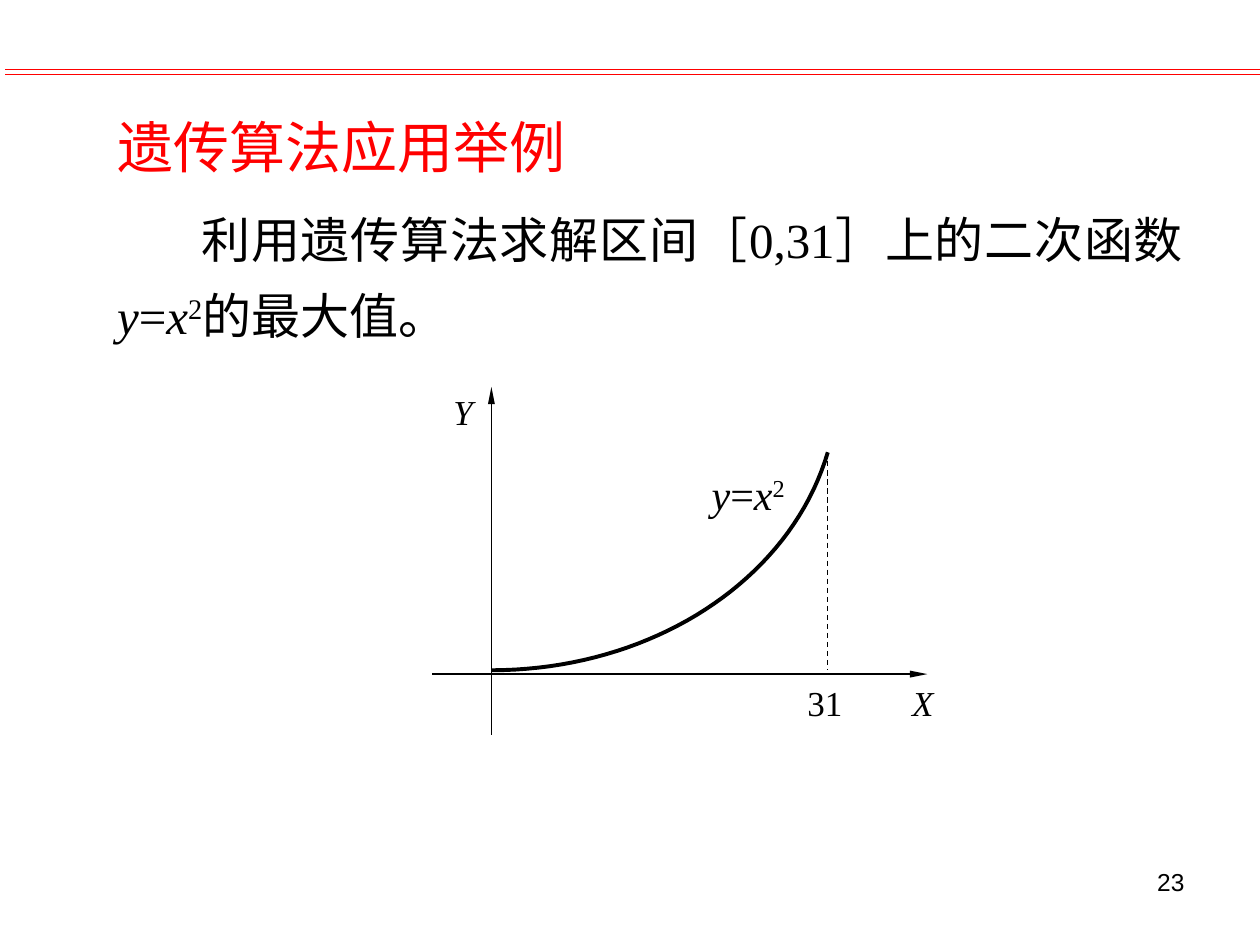
"""Build the slide on a genetic algorithm example: maximising y = x squared."""
from dataclasses import dataclass

from lxml import etree
from pptx import Presentation
from pptx.dml.color import RGBColor
from pptx.enum import dml, text
from pptx.oxml import ns
from pptx.util import Inches, Pt

COLORS = {"accent": "FF0000", "ink": "000000"}
SERIF, SANS, CJK = "Times New Roman", "Arial", "Noto Sans CJK SC"
ORIGIN_X, AXIS_Y = 3.9, 5.35
CURVE = ((3.9, 5.32), (5.17, 5.32), (6.27, 4.61), (6.57, 3.59))
CURVE_STEPS = 40
FORMULA = (("y", "i"), ("=", ""), ("x", "i"), ("2", "sup"))


@dataclass
class Rule:
    start: tuple[float, float]
    end: tuple[float, float]
    color: str = "ink"
    arrow: bool = False
    dashed: bool = False


@dataclass
class Label:
    box: tuple[float, float, float, float]
    runs: tuple[tuple[str, str], ...]
    size: int = 20
    font: str = SERIF
    align: text.PP_ALIGN = text.PP_ALIGN.LEFT


def rgb(name: str) -> RGBColor:
    return RGBColor.from_string(COLORS[name])


def place(shape, box: tuple[float, float, float, float]) -> None:
    shape.left, shape.top, shape.width, shape.height = map(Inches, box)


def write(shape, runs, size: int, font: str, color: str, align) -> None:
    frame = shape.text_frame
    frame.auto_size = text.MSO_AUTO_SIZE.NONE
    frame.vertical_anchor = text.MSO_ANCHOR.TOP
    frame.word_wrap = True
    paragraph = frame.paragraphs[0]
    paragraph.alignment = align
    paragraph.font.name, paragraph.font.size = font, Pt(size)
    paragraph.font.color.rgb = rgb(color)
    for words, style in runs:
        run = paragraph.add_run()
        run.text = words
        if style == "i":
            run.font.italic = True
        props = run.font._element
        if style == "sup":
            props.set("baseline", "30000")
        etree.SubElement(props, ns.qn("a:ea")).set("typeface", CJK)


def draw_rule(slide, rule: Rule) -> None:
    ends = map(Inches, (*rule.start, *rule.end))
    connector = slide.shapes.add_connector(1, *ends)
    connector.line.color.rgb = rgb(rule.color)
    connector.line.width = Pt(0.75)
    if rule.dashed:
        connector.line.dash_style = dml.MSO_LINE.DASH
    if rule.arrow:
        tip = etree.SubElement(connector.line._get_or_add_ln(), ns.qn("a:tailEnd"))
        for key, value in (("type", "triangle"), ("w", "sm"), ("len", "lg")):
            tip.set(key, value)
    etree.SubElement(connector._element.spPr, ns.qn("a:effectLst"))


def draw_label(slide, label: Label) -> None:
    box = slide.shapes.add_textbox(*map(Inches, label.box))
    write(box, label.runs, label.size, label.font, "ink", label.align)


def curve_point(t: float) -> tuple[int, int]:
    weights = ((1 - t) ** 3, 3 * t * (1 - t) ** 2, 3 * t * t * (1 - t), t ** 3)
    x, y = (sum(w * p[axis] for w, p in zip(weights, CURVE)) for axis in (0, 1))
    return Inches(x), Inches(y)


def draw_curve(slide) -> None:
    points = [curve_point(step / CURVE_STEPS) for step in range(CURVE_STEPS + 1)]
    builder = slide.shapes.build_freeform(*points[0])
    builder.add_line_segments(points[1:], close=False)
    parabola = builder.convert_to_shape()
    parabola.shadow.inherit = False
    parabola.fill.background()
    parabola.line.color.rgb = rgb("ink")
    parabola.line.width = Pt(2.25)


RULES = [
    *(Rule((0.04, y), (10.04, y), "accent") for y in (0.55, 0.59)),
    Rule((3.43, AXIS_Y), (7.36, AXIS_Y), arrow=True),
    Rule((ORIGIN_X, 5.83), (ORIGIN_X, 3.07), arrow=True),
    Rule(CURVE[-1], (CURVE[-1][0], CURVE[0][1]), dashed=True),
]
LABELS = [
    Label((5.55, 3.67, 0.87, 0.5), FORMULA, size=24),
    Label((6.31, 5.36, 0.6, 0.43), (("31", ""),)),
    Label((7.14, 5.36, 0.45, 0.43), (("X", "i"),)),
    Label((3.5, 3.05, 0.4, 0.43), (("Y", "i"),)),
    Label((7.17, 6.83, 2.33, 0.52), (("23", ""),), 14, SANS, text.PP_ALIGN.RIGHT),
]

deck = Presentation()
deck.slide_width, deck.slide_height = Inches(10), Inches(7.5)
slide = deck.slides.add_slide(deck.slide_layouts[1])

title = slide.shapes.title
place(title, (0.83, 0.84, 3.87, 0.63))
write(title, (("遗传算法应用举例", ""),), 32, CJK, "accent", text.PP_ALIGN.LEFT)
title.text_frame.word_wrap = False

problem = slide.placeholders[1]
place(problem, (0.83, 1.47, 8.66, 1.32))
sentence = (("利用遗传算法求解区间［0,31］上的二次函数", ""), *FORMULA, ("的最大值。", ""))
write(problem, sentence, 28, SERIF, "ink", text.PP_ALIGN.JUSTIFY)
statement = problem.text_frame.paragraphs[0]
statement.line_spacing = 1.3
statement.space_before = Pt(0)
indents = statement._p.get_or_add_pPr()
indents.set("marL", "0")
indents.set("indent", str(Inches(0.67)))
indents.insert_element_before(etree.Element(ns.qn("a:buNone")), "a:tabLst", "a:defRPr")

for rule in RULES:
    draw_rule(slide, rule)
draw_curve(slide)
for label in LABELS:
    draw_label(slide, label)

deck.save("out.pptx")
